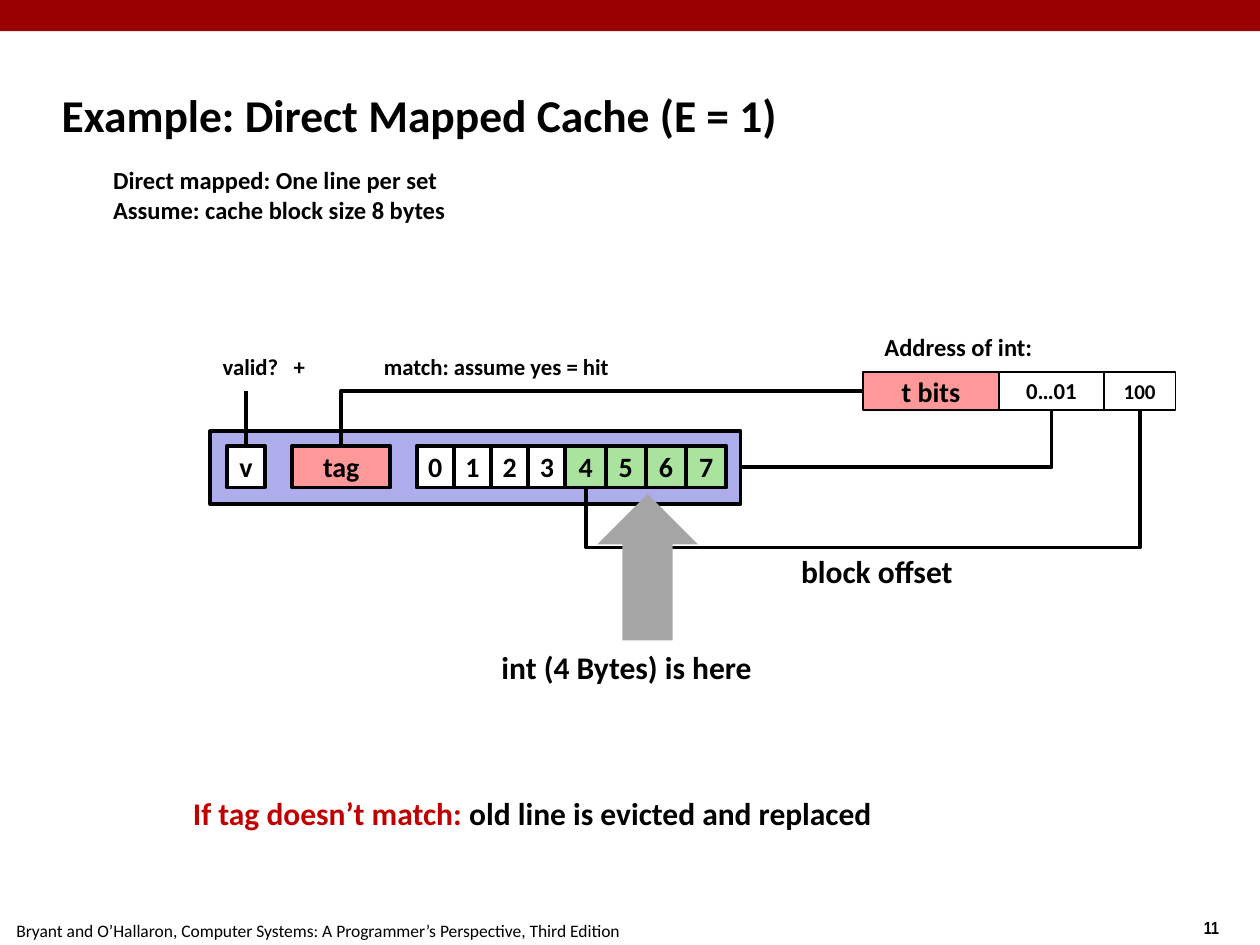
from dataclasses import dataclass

from lxml.etree import SubElement
from pptx import Presentation
from pptx.dml.color import RGBColor
from pptx.enum.shapes import MSO_CONNECTOR, MSO_SHAPE
from pptx.enum.text import MSO_ANCHOR, PP_ALIGN
from pptx.oxml.ns import qn
from pptx.util import Cm, Pt


@dataclass(frozen=True)
class Theme:
    font: str = "Calibri"
    number_font: str = "Arial Narrow"
    black: str = "000000"
    white: str = "FFFFFF"
    band: str = "990000"
    warning: str = "C00000"
    tag: str = "FF9999"
    line: str = "ADADEB"
    selected: str = "A9E39D"
    arrow: str = "A6A6A6"
    title_size: float = 26
    statement_size: float = 18
    cell_size: float = 16
    intro_size: float = 14
    label_size: float = 13
    offset_size: float = 12
    footer_size: float = 10
    cell_border: float = 2.25
    address_border: float = 1
    connector_width: float = 2


class SlideBuilder:
    def __init__(self, slide, theme):
        self.slide = slide
        self.theme = theme

    def run(self, paragraph, text, size, color=None, bold=True, font=None):
        run = paragraph.add_run()
        run.text = text
        run.font.size = Pt(size)
        run.font.name = font or self.theme.font
        run.font.bold = bold
        run.font.color.rgb = RGBColor.from_string(color or self.theme.black)

    def title(self, text, left, top, width, height):
        shape = self.slide.shapes.title
        shape.left, shape.top = Cm(left), Cm(top)
        shape.width, shape.height = Cm(width), Cm(height)
        shape.text_frame.vertical_anchor = MSO_ANCHOR.MIDDLE
        paragraph = shape.text_frame.paragraphs[0]
        paragraph.alignment = PP_ALIGN.LEFT
        self.run(paragraph, text, self.theme.title_size)

    def text(self, lines, left, top, width, height, size, tab=None, **style):
        shape = self.slide.shapes.add_textbox(Cm(left), Cm(top), Cm(width), Cm(height))
        frame = shape.text_frame
        frame.word_wrap = False
        for index, runs in enumerate(lines):
            paragraph = frame.add_paragraph() if index else frame.paragraphs[0]
            paragraph.alignment = PP_ALIGN.LEFT
            if tab:
                properties = paragraph._p.get_or_add_pPr()
                tabs = SubElement(properties, qn("a:tabLst"))
                SubElement(tabs, qn("a:tab"), pos=str(Cm(tab)), algn="l")
            for words, color in runs:
                self.run(paragraph, words, size, color, **style)

    def label(self, words, *box, **style):
        self.text([[(words, None)]], *box, **style)

    def shape(self, kind, left, top, width, height, fill, border=None):
        shape = self.slide.shapes.add_shape(kind, Cm(left), Cm(top), Cm(width), Cm(height))
        shape.shadow.inherit = False
        shape.fill.solid()
        shape.fill.fore_color.rgb = RGBColor.from_string(fill)
        if border:
            shape.line.color.rgb = RGBColor.from_string(self.theme.black)
            shape.line.width = Pt(border)
        else:
            shape.line.fill.background()
        return shape

    def cell(self, words, left, top, width, height, fill, size, border, wrap=False):
        shape = self.shape(MSO_SHAPE.RECTANGLE, left, top, width, height, fill, border)
        frame = shape.text_frame
        frame.word_wrap = wrap
        frame.vertical_anchor = MSO_ANCHOR.MIDDLE
        paragraph = frame.paragraphs[0]
        paragraph.alignment = PP_ALIGN.CENTER
        self.run(paragraph, words, size)

    def connector(self, start, end, kind=MSO_CONNECTOR.STRAIGHT):
        points = [Cm(value) for value in (*start, *end)]
        connector = self.slide.shapes.add_connector(kind, *points)
        connector.line.color.rgb = RGBColor.from_string(self.theme.black)
        connector.line.width = Pt(self.theme.connector_width)
        SubElement(connector._element.spPr, qn("a:effectLst"))
        return connector

    def elbow(self, start, end, preset, downward=False, bend=None):
        if downward:
            center_x, center_y = (start[0] + end[0]) / 2, (start[1] + end[1]) / 2
            half_width, half_height = abs(end[1] - start[1]) / 2, abs(end[0] - start[0]) / 2
            start = (center_x - half_width, center_y - half_height)
            end = (center_x + half_width, center_y + half_height)
        connector = self.connector(start, end, MSO_CONNECTOR.ELBOW)
        properties = connector._element.spPr
        geometry = properties.find(qn("a:prstGeom"))
        geometry.set("prst", preset)
        if downward:
            properties.find(qn("a:xfrm")).set("rot", "5400000")
        if bend:
            adjustments = geometry.find(qn("a:avLst"))
            SubElement(adjustments, qn("a:gd"), name="adj1", fmla=f"val {round(bend * 100000)}")


def draw_address(builder):
    theme = builder.theme
    builder.label("Address of int:", 17.58, 6.57, 4.2, 0.84, theme.intro_size)
    fields = [
        ("t bits", 2.74, theme.tag, theme.cell_size),
        ("0…01", 2.11, theme.white, theme.label_size),
        ("100", 1.45, theme.white, theme.offset_size),
    ]
    left = 17.4
    for words, width, fill, size in fields:
        builder.cell(words, left, 7.5, width, 0.76, fill, size, theme.address_border, True)
        left += width


def draw_cache_line(builder):
    theme = builder.theme
    builder.shape(MSO_SHAPE.RECTANGLE, 4.24, 8.69, 10.69, 1.47, theme.line, theme.cell_border)
    cells = [("v", 4.58, 0.76, theme.white), ("tag", 5.89, 1.98, theme.tag)]
    left = 8.4
    for number in range(8):
        width, fill = (0.75, theme.white) if number < 4 else (0.81, theme.selected)
        cells.append((str(number), left, width, fill))
        left += width
    for words, left, width, fill in cells:
        builder.cell(words, left, 8.99, width, 0.84, fill, theme.cell_size, theme.cell_border)


def draw_lookup(builder):
    theme = builder.theme
    builder.elbow((21.2, 8.26), (14.93, 9.42), "bentConnector2", downward=True)
    builder.elbow((17.4, 7.88), (6.88, 8.99), "bentConnector2")
    builder.connector((4.96, 7.88), (4.96, 8.99))
    builder.elbow((22.98, 8.26), (11.81, 9.83), "bentConnector3", downward=True, bend=1.77)
    builder.shape(MSO_SHAPE.UP_ARROW, 12.04, 9.96, 2.03, 2.95, theme.arrow)
    builder.label("match: assume yes = hit", 7.49, 6.99, 5.6, 0.81, theme.label_size)
    builder.label("valid?\t+", 4.24, 6.99, 2.6, 0.81, theme.label_size, tab=1.43)
    builder.label("int (4 Bytes) is here", 9.86, 12.93, 6.2, 1.02, theme.statement_size)
    builder.label("block offset", 15.9, 11, 4.2, 1.02, theme.statement_size)


def main():
    presentation = Presentation()
    presentation.slide_width, presentation.slide_height = Cm(25.4), Cm(19.05)
    slide = presentation.slides.add_slide(presentation.slide_layouts[5])
    theme = Theme()
    builder = SlideBuilder(slide, theme)

    builder.shape(MSO_SHAPE.RECTANGLE, 0, 0, 25.4, 0.63, theme.band)
    builder.label("11", 24.02, 18.36, 1.3, 0.69, theme.footer_size, font=theme.number_font)
    builder.label(
        "Bryant and O’Hallaron, Computer Systems: A Programmer’s Perspective, Third Edition",
        0.08, 18.42, 14, 0.63, theme.footer_size, bold=False,
    )
    builder.title("Example: Direct Mapped Cache (E = 1)", 0.99, 1.24, 21.08, 2.11)
    introduction = ["Direct mapped: One line per set", "Assume: cache block size 8 bytes"]
    builder.text(
        [[(line, None)] for line in introduction], 2.03, 3.21, 8, 1.45, theme.intro_size
    )
    draw_address(builder)
    draw_cache_line(builder)
    draw_lookup(builder)
    eviction = [
        ("If tag doesn’t match: ", theme.warning),
        ("old line is evicted and replaced", theme.black),
    ]
    builder.text([eviction], 3.64, 15.88, 15, 1.02, theme.statement_size)
    presentation.save("out.pptx")


if __name__ == "__main__":
    main()
